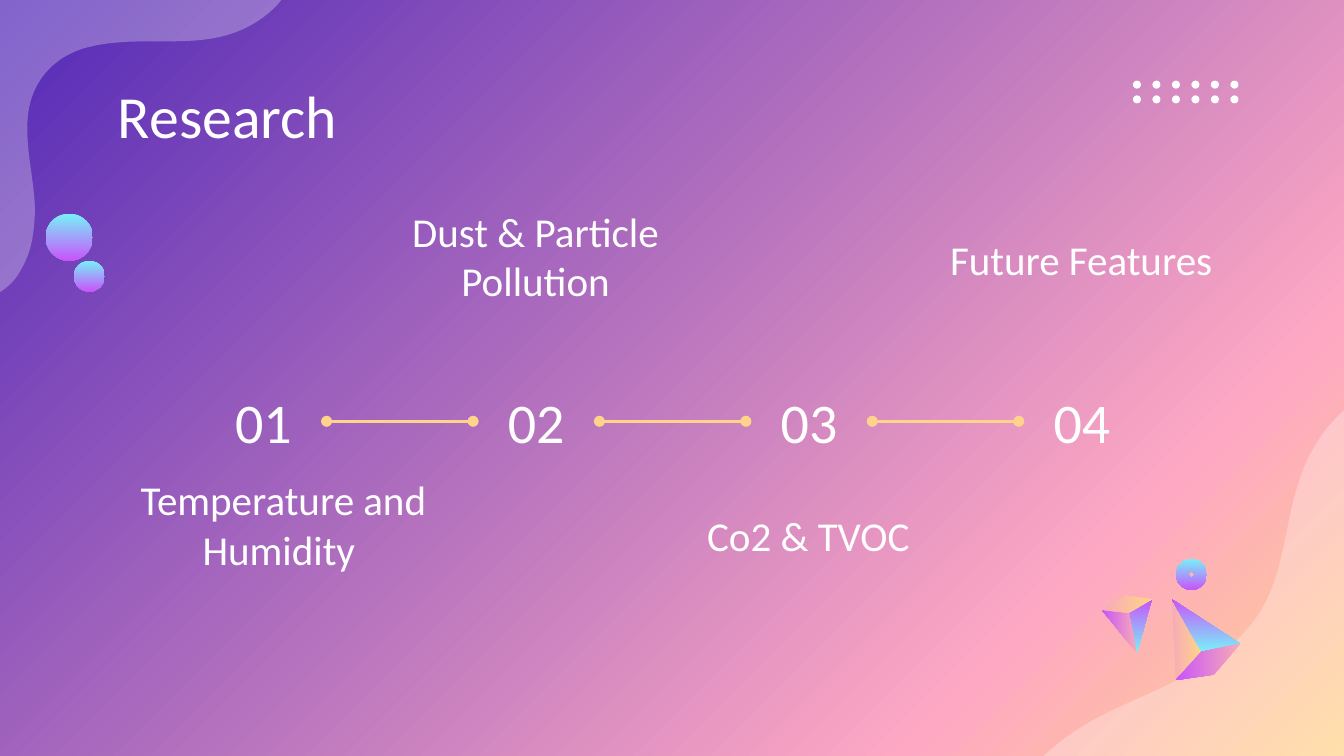
from lxml.etree import SubElement
from pptx import Presentation
from pptx.dml.color import RGBColor
from pptx.enum.shapes import MSO_CONNECTOR as Link, MSO_SHAPE as Kind
from pptx.enum.text import MSO_ANCHOR as Anchor, PP_ALIGN as Align
from pptx.oxml.ns import qn
from pptx.util import Inches, Pt

WHITE, GOLD, PINK = "FFFFFF", "FFD38B", "F7ABB7"
CYAN, PURPLE = "78F0F9", "C954FA"
GLOW = [(0, CYAN), (100, PURPLE)]
BLUSH = [(0, PINK), (100, PURPLE)]
SAND = [(0, PINK), (100, GOLD)]


def color(code):
    return RGBColor.from_string(code)


def shade(item, fill, stops, angle):
    """Fill a shape or slide with a gradient; angle runs clockwise."""
    fill.gradient()
    group = item.element.find(".//" + qn("a:gsLst"))
    for old in list(group):
        group.remove(old)
    for pos, code in stops:
        stop = SubElement(group, qn("a:gs"), pos=str(pos * 1000))
        SubElement(stop, qn("a:srgbClr"), val=code)
    item.element.find(".//" + qn("a:lin")).set("ang", str(angle * 60000))


def paint(shape, fill, angle=90, alpha=None):
    """Fill with a hex colour or a list of gradient stops, without a line."""
    shape.shadow.inherit = False
    shape.line.fill.background()
    if isinstance(fill, list):
        shade(shape, shape.fill, fill, angle)
        return
    shape.fill.solid()
    shape.fill.fore_color.rgb = color(fill)
    if alpha:
        tone = shape.element.spPr.find(".//" + qn("a:srgbClr"))
        SubElement(tone, qn("a:alpha"), val=str(alpha * 1000))


def write(slide, text, x, y, w, h, size=22, align=Align.CENTER):
    box = slide.shapes.add_textbox(Inches(x), Inches(y), Inches(w), Inches(h))
    frame = box.text_frame
    frame.word_wrap = True
    frame.vertical_anchor = Anchor.MIDDLE
    frame.margin_left = frame.margin_right = Inches(0.1)
    frame.margin_top = frame.margin_bottom = Inches(0.1)
    para = frame.paragraphs[0]
    para.alignment = align
    run = para.add_run()
    run.text = text
    run.font.size = Pt(size)
    run.font.name = "Calibri"
    run.font.color.rgb = color(WHITE)


def outline(slide, x, y, points):
    spots = [(Inches(x + px), Inches(y + py)) for px, py in points]
    path = slide.shapes.build_freeform(*spots[0], scale=1.0)
    path.add_line_segments(spots[1:], close=True)
    return path.convert_to_shape()


def bend(points, steps=16):
    """Sample a chain of cubic curves: a start, then three points per curve."""
    result = [points[0]]
    for i in range(0, len(points) - 1, 3):
        for n in range(1, steps + 1):
            t = n / steps
            u = 1 - t
            parts = (u ** 3, 3 * u * u * t, 3 * u * t * t, t ** 3)
            result.append(tuple(
                sum(k * p[axis] for k, p in zip(parts, points[i:i + 4]))
                for axis in (0, 1)))
    return result


def wave(slide, x, y, curve, corner):
    paint(outline(slide, x, y, bend(curve) + [corner]), WHITE, alpha=28)


def ball(slide, x, y, size, fill, kind=Kind.OVAL):
    shape = slide.shapes.add_shape(
        kind, Inches(x), Inches(y), Inches(size), Inches(size))
    paint(shape, fill)
    return shape


def gem(slide, x, y, facets):
    for points, stops, angle in facets:
        paint(outline(slide, x, y, points), stops, angle)


def dots(slide, x, y, cols=6, rows=2):
    for row in range(rows):
        for col in range(cols):
            ball(slide, x + col * 0.145, y + row * 0.11, 0.06, WHITE)


def join(slide, x, y, length):
    line = slide.shapes.add_connector(
        Link.CURVE, Inches(x), Inches(y), Inches(x + length), Inches(y))
    line.line.color.rgb = color(GOLD)
    line.line.width = Pt(1.5)
    props = line.element.spPr
    stroke = props.find(qn("a:ln"))
    for end in ("a:headEnd", "a:tailEnd"):
        SubElement(stroke, qn(end), type="oval")
    SubElement(props, qn("a:effectLst"))


def timeline(slide, x, y, labels):
    """Number the steps in a row, with labels placed around them."""
    pitch, width = 2.03, 0.94
    for i, (text, dx, dy, w, h) in enumerate(labels):
        left = x + i * pitch
        write(slide, f"{i + 1:02}", left, y, width, 0.52, size=30)
        write(slide, text, x + dx, y + dy, w, h)
        if i < len(labels) - 1:
            join(slide, left + width, y + 0.265, pitch - width)


def decor(slide):
    wave(slide, 7.38, 2.76, [
        (3.24, 0), (2.82, 0.06), (2.44, 0.36), (2.3, 0.78),
        (2.16, 1.16), (2.19, 1.59), (1.91, 1.91),
        (1.62, 2.26), (1.14, 2.39), (0.75, 2.6),
        (0.56, 2.71), (0.37, 2.85), (0.24, 3.03),
        (0.12, 3.19), (0.04, 3.38), (0.01, 3.58),
        (0, 3.65), (0, 3.72), (0, 3.8)], (3.24, 3.8))
    wave(slide, 0, 0, [
        (-0.01, 2.18), (0.06, 2.14), (0.12, 2.08), (0.16, 2),
        (0.24, 1.87), (0.26, 1.7), (0.26, 1.54),
        (0.25, 1.23), (0.11, 0.86), (0.31, 0.58),
        (0.44, 0.4), (0.63, 0.34), (0.84, 0.32),
        (1.19, 0.28), (1.56, 0.37), (1.88, 0.18),
        (2.02, 0.1), (2.14, -0.02), (2.19, -0.18),
        (2.22, -0.28), (2.22, -0.38), (2.21, -0.48)], (-0.38, -0.06))

    tip, mid, right = (0, 0.03), (0.22, 0.42), (0.51, 0.36)
    low, base = (0.03, 0.63), (0.31, 0.59)
    gem(slide, 8.72, 4.43, [
        ([low, mid, tip], SAND, 0),
        ([tip, mid, right], GLOW, 270),
        ([right, mid, low, base], BLUSH, 180)])

    tip, mid, right = (0.26, 0.43), (0.2, 0.13), (0.37, 0.03)
    left, back = (0, 0.11), (0.17, 0)
    gem(slide, 8.2, 4.43, [
        ([right, mid, tip], GLOW, 270),
        ([tip, mid, left], BLUSH, 180),
        ([left, mid, right, back], SAND, 0)])

    ring = ball(slide, 8.75, 4.16, 0.23, GLOW, Kind.DONUT)
    ring.adjustments[0] = 0.41
    dots(slide, 8.43, 0.6)
    ball(slide, 0.34, 1.59, 0.35, GLOW)
    ball(slide, 0.55, 1.94, 0.23, GLOW)


def main():
    deck = Presentation()
    deck.slide_width = Inches(10)
    deck.slide_height = deck.slide_width * 9 // 16
    slide = deck.slides.add_slide(deck.slide_layouts[6])
    shade(slide, slide.background.fill,
          [(0, "5229B7"), (79, "FEA8C3"), (100, GOLD)], 45)
    decor(slide)
    write(slide, "Research", 0.78, 0.59, 8.44, 0.53, size=32, align=Align.LEFT)
    timeline(slide, 1.49, 2.87, [
        (" Temperature and Humidity", -0.65, 0.66, 2.47, 0.74),
        ("Dust & Particle Pollution", 1.38, -1.25, 2.23, 0.56),
        ("Co2 & TVOC", 3.41, 0.83, 2.23, 0.56),
        ("Future Features", 5.44, -1.22, 2.23, 0.56)])
    deck.save("out.pptx")


if __name__ == "__main__":
    main()
